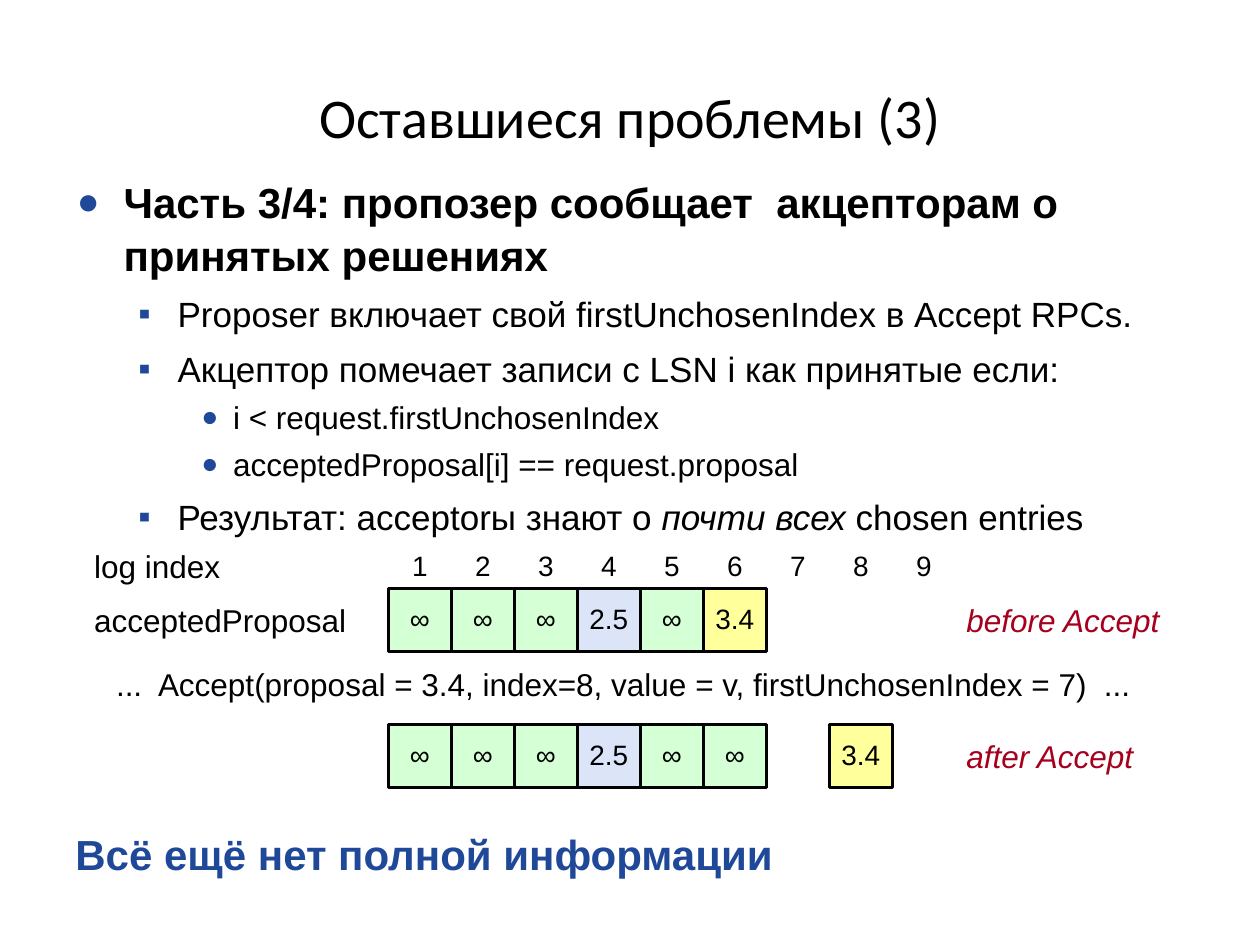
"""Build the slide on proposers telling acceptors about chosen log entries."""
from lxml import etree
from pptx import Presentation
from pptx import util as u
from pptx.dml import color
from pptx.enum import shapes, text
from pptx.oxml import ns

COLORS = {"black": "000000", "blue": "1F4899", "red": "A5001E",
          "chosen": "D5FFD5", "older": "DCE5F8", "current": "FFFF9B"}
INSETS = ("margin_left", "margin_top", "margin_right", "margin_bottom")
NO_INSETS = dict.fromkeys(INSETS, 0)
BOX_INSETS = dict(zip(INSETS, [u.Cm(0.25), u.Cm(0.13)] * 2))


def apply_format(target, values):
    for name, value in values.items():
        setattr(target, name, value)


def add_run(paragraph, content, tint="black", **font_values):
    run = paragraph.add_run()
    run.text = content
    apply_format(run.font, {"name": "Arial", **font_values})
    run.font.color.rgb = color.RGBColor.from_string(COLORS[tint])


presentation = Presentation()
presentation.slide_width, presentation.slide_height = u.Cm(25.4), u.Cm(19.05)
slide = presentation.slides.add_slide(presentation.slide_layouts[1])

title = slide.shapes.title
apply_format(title, {"left": u.Cm(1.27), "top": u.Cm(0.76),
                     "width": u.Cm(22.86), "height": u.Cm(3.18)})
apply_format(title.text_frame, {**NO_INSETS, "word_wrap": True,
                                "auto_size": text.MSO_AUTO_SIZE.NONE,
                                "vertical_anchor": text.MSO_ANCHOR.MIDDLE})
title.text_frame.paragraphs[0].alignment = text.PP_ALIGN.CENTER
add_run(title.text_frame.paragraphs[0], "Оставшиеся проблемы (3)",
        name="Calibri", size=u.Pt(32))

body = slide.placeholders[1]
apply_format(body, {"left": u.Cm(1.27), "top": u.Cm(3.38),
                    "width": u.Cm(22.86), "height": u.Cm(7.42)})
apply_format(body.text_frame, {**BOX_INSETS, "word_wrap": True,
                               "auto_size": text.MSO_AUTO_SIZE.NONE,
                               "vertical_anchor": text.MSO_ANCHOR.TOP})

levels = [
    {"margin": 0.97, "hanging": 0.94, "before": 12, "size": 24, "bullet": "●", "scale": 90},
    {"margin": 2.06, "hanging": 0.79, "before": 6, "size": 20, "bullet": "▪", "scale": 100},
    {"margin": 3.18, "hanging": 0.64, "before": 4, "size": 18, "bullet": "●", "scale": 90},
]
conclusion = {"margin": 0, "hanging": 0, "before": 165, "size": 24, "bullet": None}
items = [
    (0, levels[0], [("Часть 3/4: пропозер сообщает  акцепторам о принятых решениях", {"bold": True})]),
    (1, levels[1], [("Proposer включает свой firstUnchosenIndex в Accept RPCs.", {})]),
    (1, levels[1], [("Акцептор помечает записи с LSN i как принятые если:", {})]),
    (2, levels[2], [("i < request.firstUnchosenIndex", {})]),
    (2, levels[2], [("acceptedProposal[i] == request.proposal", {})]),
    (1, levels[1], [("Результат: acceptorы знают о ", {}), ("почти всех", {"italic": True}),
                    (" chosen entries", {})]),
    (0, conclusion, [("Всё ещё нет полной информации", {"bold": True, "tint": "blue"})]),
]
for number, (level, style, runs) in enumerate(items):
    paragraph = body.text_frame.add_paragraph() if number else body.text_frame.paragraphs[0]
    apply_format(paragraph, {"level": level, "line_spacing": 1.05,
                             "space_before": u.Pt(style["before"])})
    for content, values in runs:
        add_run(paragraph, content, size=u.Pt(style["size"]), **values)
    properties = paragraph._p.get_or_add_pPr()
    properties.set("marL", str(u.Cm(style["margin"])))
    properties.set("indent", str(-u.Cm(style["hanging"])))
    if style["bullet"]:
        bullet_color = etree.SubElement(properties, ns.qn("a:buClr"))
        etree.SubElement(bullet_color, ns.qn("a:srgbClr"), val=COLORS["blue"])
        etree.SubElement(properties, ns.qn("a:buSzPct"), val=str(style["scale"] * 1000))
        etree.SubElement(properties, ns.qn("a:buFont"), typeface="Arial")
        etree.SubElement(properties, ns.qn("a:buChar"), char=style["bullet"])
    else:
        etree.SubElement(properties, ns.qn("a:buNone"))

cell_size, log_left = 1.27, 7.83
label_format = {"insets": NO_INSETS, "align": text.PP_ALIGN.LEFT, "size": 18}
index_format = {"insets": BOX_INSETS, "align": text.PP_ALIGN.CENTER, "size": 16}
labels = [
    ("log index", 1.9, 11.02, 3.18, 0.76, label_format, {}),
    ("acceptedProposal", 1.9, 12.12, 5.51, 0.76, label_format, {}),
    ("before Accept", 19.48, 12.12, 4.88, 0.76, label_format, {"tint": "red", "italic": True}),
    ("...  Accept(proposal = 3.4, index=8, value = v, firstUnchosenIndex = 7)  ...",
     2.34, 13.41, 21.79, 0.76, label_format, {}),
    ("after Accept", 19.48, 14.86, 4.88, 0.76, label_format, {"tint": "red", "italic": True}),
]
labels += [(str(index), log_left + (index - 1) * cell_size, 10.92, cell_size, 0.94,
            index_format, {}) for index in range(1, 10)]
for content, left, top, width, height, style, values in labels:
    label = slide.shapes.add_textbox(u.Cm(left), u.Cm(top), u.Cm(width), u.Cm(height))
    apply_format(label.text_frame, {**style["insets"], "word_wrap": True})
    paragraph = label.text_frame.paragraphs[0]
    paragraph.alignment = style["align"]
    add_run(paragraph, content, size=u.Pt(style["size"]), **values)

cell_fills = {"∞": "chosen", "2.5": "older", "3.4": "current"}
logs = [
    (11.86, {1: "∞", 2: "∞", 3: "∞", 4: "2.5", 5: "∞", 6: "3.4"}),
    (14.61, {1: "∞", 2: "∞", 3: "∞", 4: "2.5", 5: "∞", 6: "∞", 8: "3.4"}),
]
for top, entries in logs:
    for index, proposal in entries.items():
        cell = slide.shapes.add_shape(
            shapes.MSO_SHAPE.RECTANGLE, u.Cm(log_left + (index - 1) * cell_size), u.Cm(top),
            u.Cm(cell_size), u.Cm(cell_size))
        cell.shadow.inherit = False
        cell.fill.solid()
        cell.fill.fore_color.rgb = color.RGBColor.from_string(COLORS[cell_fills[proposal]])
        cell.line.color.rgb = color.RGBColor.from_string(COLORS["black"])
        cell.line.width = u.Pt(1.5)
        apply_format(cell.text_frame, {**NO_INSETS, "word_wrap": True,
                                       "vertical_anchor": text.MSO_ANCHOR.MIDDLE})
        paragraph = cell.text_frame.paragraphs[0]
        apply_format(paragraph, {"alignment": text.PP_ALIGN.CENTER, "line_spacing": u.Pt(17)})
        add_run(paragraph, proposal, size=u.Pt(16))

presentation.save("out.pptx")
